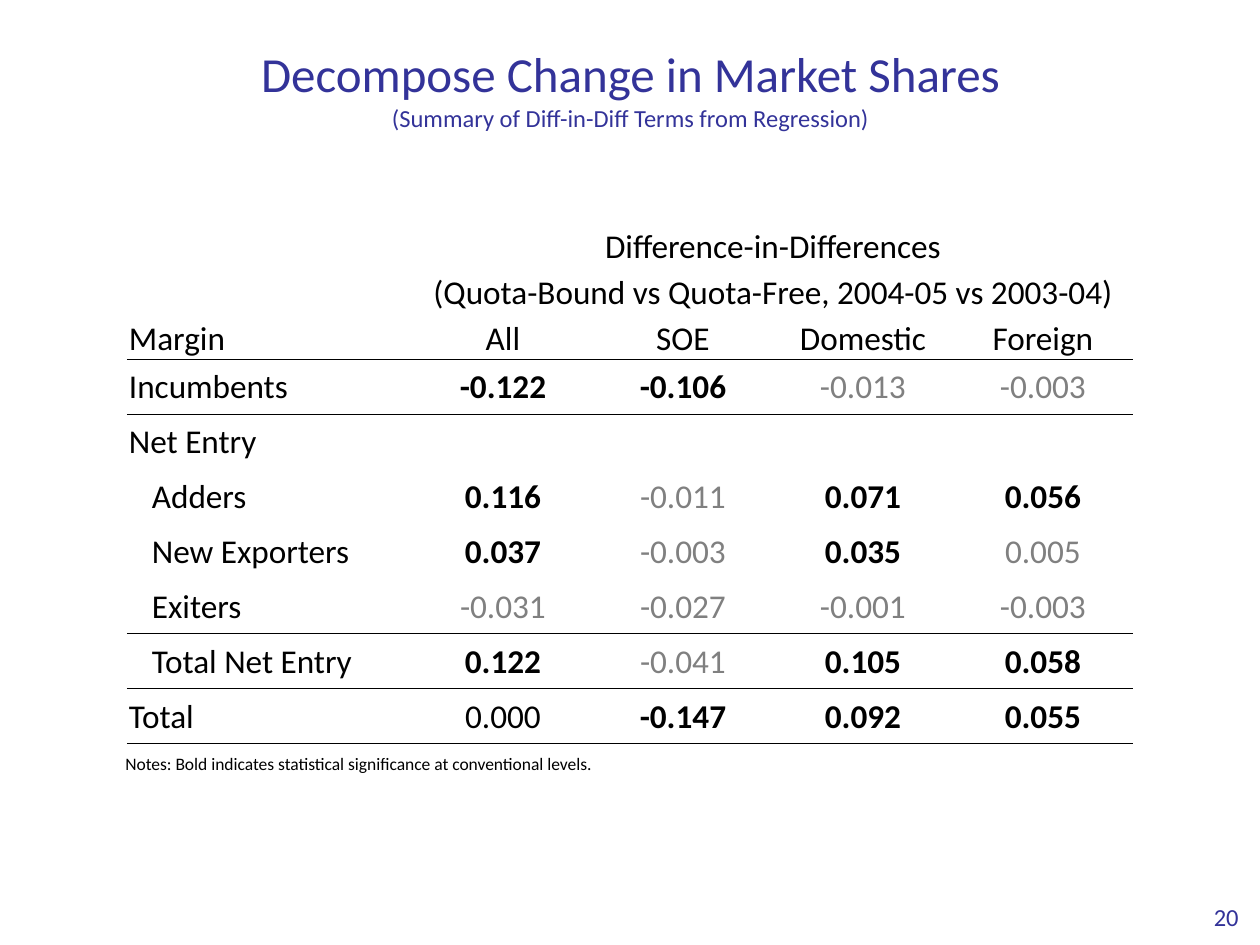
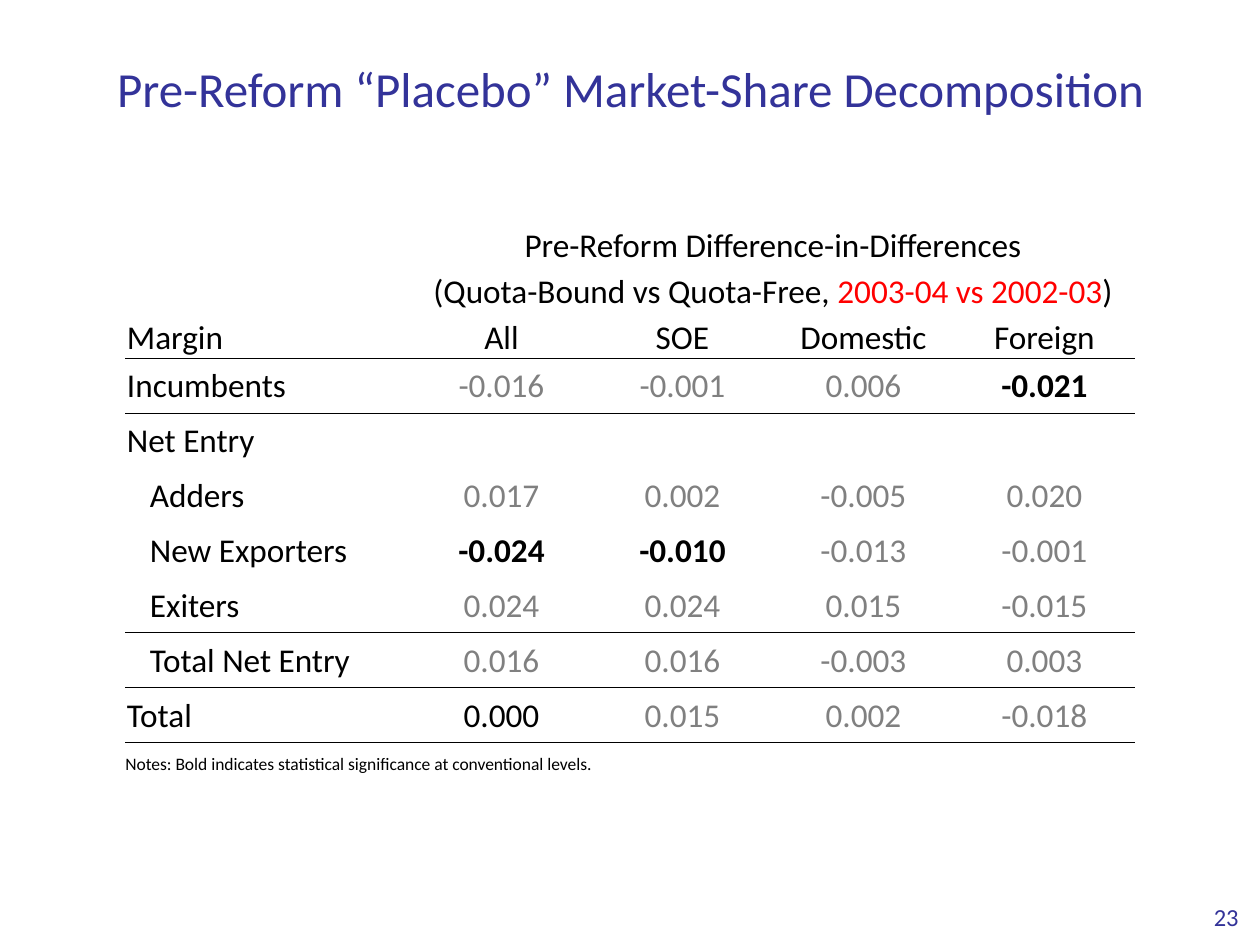
import copy
from dataclasses import dataclass

from lxml import etree
from pptx import Presentation
from pptx import util as u
from pptx.dml import color as c
from pptx.enum import text as t
from pptx.oxml import ns


@dataclass(frozen=True)
class Theme:
    font: str = "Calibri"
    navy: str = "333399"
    black: str = "000000"
    grey: str = "808080"
    red: str = "FF0000"
    title: int = 28
    small: int = 14
    table: int = 19
    note: int = 10


th = Theme()
LEFT, CENTER, RIGHT = t.PP_ALIGN.LEFT, t.PP_ALIGN.CENTER, t.PP_ALIGN.RIGHT
NO_STYLE = "{2D5ABB26-0587-4C30-8999-92F81FD0307C}"
NOTE = "Notes: Bold indicates statistical significance at conventional levels."
MARGINS = ["Incumbents", "Net Entry", "Adders", "New Exporters", "Exiters", "Total Net Entry", "Total"]
INDENTED = {"Adders", "New Exporters", "Exiters", "Total Net Entry"}
HEADINGS = ["Margin", "All", "SOE", "Domestic", "Foreign"]
HEADER_ROWS = 3
RULED_ROWS = {2, 7, 8, 9}
LABEL_W, HEADER_H, BODY_H = 286, 46, 55

SLIDES = [
    {
        "number": "20",
        "title": "Decompose Change in Market Shares",
        "subtitle": "(Summary of Diff-in-Diff Terms from Regression)",
        "left": 127, "top": 221, "value_w": 180,
        "spanners": [
            [("Difference-in-Differences", th.black)],
            [("(Quota-Bound vs Quota-Free, 2004-05 vs 2003-04)", th.black)],
        ],
        "values": [
            "*-0.122 *-0.106 -0.013 -0.003",
            "",
            "*0.116 -0.011 *0.071 *0.056",
            "*0.037 -0.003 *0.035 0.005",
            "-0.031 -0.027 -0.001 -0.003",
            "*0.122 -0.041 *0.105 *0.058",
            "0.000 *-0.147 *0.092 *0.055",
        ],
    },
    {
        "number": "23",
        "title": "Pre-Reform “Placebo” Market-Share Decomposition",
        "subtitle": "",
        "left": 125, "top": 220, "value_w": 181,
        "spanners": [
            [("Pre-Reform Difference-in-Differences", th.black)],
            [("(Quota-Bound vs Quota-Free, ", th.black), ("2003-04 vs 2002-03", th.red), (")", th.black)],
        ],
        "values": [
            "-0.016 -0.001 0.006 *-0.021",
            "",
            "0.017 0.002 -0.005 0.020",
            "*-0.024 *-0.010 -0.013 -0.001",
            "0.024 0.024 0.015 -0.015",
            "0.016 0.016 -0.003 0.003",
            "0.000 0.015 0.002 -0.018",
        ],
    },
]


def px(n):
    return u.Emu(round(n * 914400 / 126))


def write(p, text, size, color=th.black, align=LEFT, bold=False):
    p.alignment = align
    r = p.add_run()
    r.text = text
    for name, value in {"name": th.font, "size": u.Pt(size), "bold": bold}.items():
        setattr(r.font, name, value)
    r.font.color.rgb = c.RGBColor.from_string(color)
    return r


prs = Presentation()
prs.slide_width, prs.slide_height = px(1260), px(945)

for data in SLIDES:
    s = prs.slides.add_slide(prs.slide_layouts[5])

    sp = s.shapes.title
    for name, value in {"left": 49, "top": 38, "width": 1163, "height": 100}.items():
        setattr(sp, name, px(value))
    tf = sp.text_frame
    tf.auto_size, tf.vertical_anchor = t.MSO_AUTO_SIZE.NONE, t.MSO_ANCHOR.MIDDLE
    p = tf.paragraphs[0]
    r = write(p, data["title"], th.title, th.navy, CENTER)
    if data["subtitle"]:
        p.add_line_break()
        p._p[-1].append(copy.deepcopy(r._r.rPr))
        write(p, data["subtitle"], th.small, th.navy, CENTER)

    rows = HEADER_ROWS + len(MARGINS)
    width = LABEL_W + 4 * data["value_w"]
    height = HEADER_ROWS * HEADER_H + len(MARGINS) * BODY_H
    tbl = s.shapes.add_table(rows, len(HEADINGS), px(data["left"]), px(data["top"]), px(width), px(height)).table
    tbl.first_row = tbl.horz_banding = False
    tbl._tbl.tblPr[0].text = NO_STYLE
    for j, col in enumerate(tbl.columns):
        col.width = px(data["value_w"] if j else LABEL_W)

    for i, row in enumerate(tbl.rows):
        header = i < HEADER_ROWS
        row.height = px(HEADER_H if header else BODY_H)
        for cell in row.cells:
            cell.fill.background()
            cell.vertical_anchor = t.MSO_ANCHOR.BOTTOM if header else t.MSO_ANCHOR.MIDDLE
            for side, value in {"left": 2, "right": 2, "top": 2, "bottom": 0}.items():
                setattr(cell, f"margin_{side}", px(value))
            for tag, ruled in (("a:lnB", i in RULED_ROWS), ("a:lnT", i - 1 in RULED_ROWS)):
                if ruled:
                    ln = etree.Element(ns.qn(tag), w=str(u.Pt(0.5)))
                    fill = etree.SubElement(ln, ns.qn("a:solidFill"))
                    etree.SubElement(fill, ns.qn("a:srgbClr"), val=th.black)
                    cell._tc.get_or_add_tcPr().insert(0, ln)

    for i, runs in enumerate(data["spanners"]):
        tbl.cell(i, 1).merge(tbl.cell(i, 4))
        for text, color in runs:
            write(tbl.cell(i, 1).text_frame.paragraphs[0], text, th.table, color, CENTER)

    for j, text in enumerate(HEADINGS):
        write(tbl.cell(2, j).text_frame.paragraphs[0], text, th.table, align=CENTER if j else LEFT)

    for i, (label, values) in enumerate(zip(MARGINS, data["values"]), HEADER_ROWS):
        cell = tbl.cell(i, 0)
        if label in INDENTED:
            cell.margin_left = px(25)
        write(cell.text_frame.paragraphs[0], label, th.table)
        for j, value in enumerate(values.split(), 1):
            bold = value.startswith("*")
            color = th.black if bold or value == "0.000" else th.grey
            write(tbl.cell(i, j).text_frame.paragraphs[0], value.lstrip("*"), th.table, color, CENTER, bold)

    for box, text, size, color, align, anchor in (
        ((113, 747, 970, 34), NOTE, th.note, th.black, LEFT, t.MSO_ANCHOR.TOP),
        ((1183, 864, 68, 67), data["number"], th.small, th.navy, RIGHT, t.MSO_ANCHOR.BOTTOM),
    ):
        tf = s.shapes.add_textbox(*map(px, box)).text_frame
        for name, value in {"word_wrap": True, "vertical_anchor": anchor, "margin_bottom": 0}.items():
            setattr(tf, name, value)
        write(tf.paragraphs[0], text, size, color, align)

prs.save("out.pptx")
